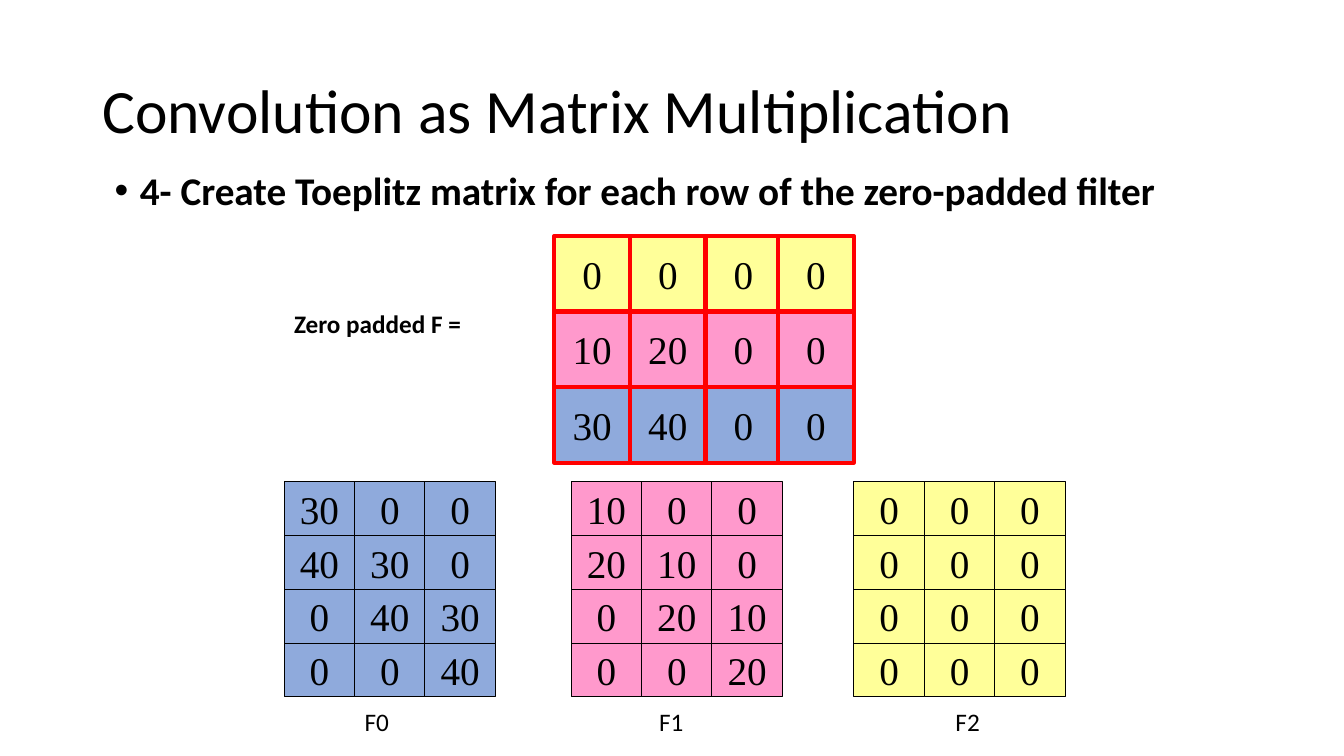
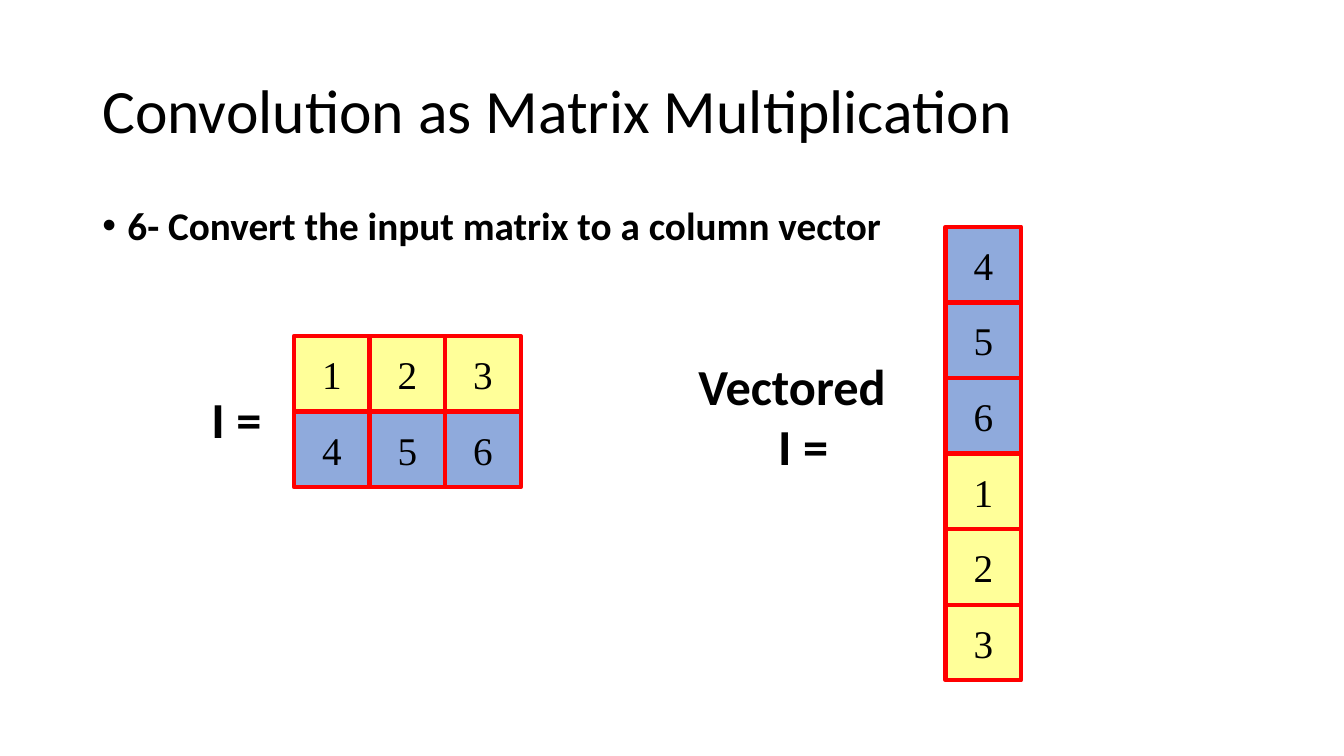
from lxml import etree
from pptx import Presentation
from pptx.dml.color import RGBColor
from pptx.enum import shapes, text
from pptx.oxml.ns import qn
from pptx.util import Pt

BLACK = RGBColor(0x00, 0x00, 0x00)
RED = RGBColor(0xFF, 0x00, 0x00)
YELLOW = RGBColor(0xFF, 0xFF, 0x99)
PINK = RGBColor(0xFF, 0x99, 0xCC)
BLUE = RGBColor(0x8F, 0xAA, 0xDC)

TITLE = "Convolution as Matrix Multiplication"
TITLE_BOX = (66, 28.75, 828, 104.4)
BULLETS = [
    ("4- Create Toeplitz matrix for each row of the zero-padded filter", (74.9, 118.8, 844.6, 444.2)),
    ("6- Convert the input matrix to a column vector", (66, 143.75, 828, 342.6)),
]
SQUARE = (54, 54)
TOEPLITZ_CELL = (50.3, 38.4)


def add_text(slide, box, lines, size, bold=False, wrap=False):
    """Add a left-aligned Calibri text box and return its shape."""
    shape = slide.shapes.add_textbox(*map(Pt, box))
    shape.text_frame.word_wrap = wrap
    shape.text_frame.text = lines
    for paragraph in shape.text_frame.paragraphs:
        style = {"name": "Calibri", "size": Pt(size), "bold": bold}
        for key, value in style.items():
            setattr(paragraph.font, key, value)
        paragraph.font.color.rgb = BLACK
    return shape


def add_matrix(slide, left, top, rows, fills, cell=SQUARE, line=(RED, 3)):
    """Draw a matrix of number cells, with one fill for each row."""
    width, height = cell
    for i, (row, fill) in enumerate(zip(rows, fills)):
        for j, number in enumerate(row):
            box = (left + j * width, top + i * height, width, height)
            shape = slide.shapes.add_shape(shapes.MSO_SHAPE.RECTANGLE, *map(Pt, box))
            shape.shadow.inherit = False
            shape.fill.solid()
            shape.fill.fore_color.rgb = fill
            shape.line.color.rgb = line[0]
            shape.line.width = Pt(line[1])
            shape.text_frame.word_wrap = False
            shape.text_frame.vertical_anchor = text.MSO_ANCHOR.MIDDLE
            paragraph = shape.text_frame.paragraphs[0]
            paragraph.text = str(number)
            paragraph.alignment = text.PP_ALIGN.CENTER
            for key, value in {"name": "Times New Roman", "size": Pt(28)}.items():
                setattr(paragraph.font, key, value)
            paragraph.font.color.rgb = BLACK


presentation = Presentation()
presentation.slide_width, presentation.slide_height = Pt(960), Pt(540)

# Title and bullet of every slide
for bullet, bullet_box in BULLETS:
    slide = presentation.slides.add_slide(presentation.slide_layouts[6])
    title = add_text(slide, TITLE_BOX, TITLE, 44, wrap=True)
    title.text_frame.vertical_anchor = text.MSO_ANCHOR.MIDDLE
    title.text_frame.paragraphs[0].line_spacing = 0.9
    body = add_text(slide, bullet_box, bullet, 28, bold=True, wrap=True)
    paragraph = body.text_frame.paragraphs[0]
    paragraph.line_spacing = 0.9
    paragraph.space_before = Pt(10)
    properties = paragraph._p.get_or_add_pPr()
    properties.set("marL", str(Pt(18)))
    properties.set("indent", str(Pt(-18)))
    font = etree.Element(qn("a:buFont"), typeface="Arial")
    mark = etree.Element(qn("a:buChar"), char="\u2022")
    properties.find(qn("a:spcBef")).addnext(font)
    font.addnext(mark)

toeplitz_slide, vector_slide = presentation.slides

# Zero-padded filter; its last column overlaps the others slightly
padded_filter = [[0, 0, 0, 0], [10, 20, 0, 0], [30, 40, 0, 0]]
row_fills = [YELLOW, PINK, BLUE]
add_text(toeplitz_slide, (203, 216.7, 360, 29), "Zero padded F = ", 18, bold=True, wrap=True)
add_matrix(toeplitz_slide, 396, 168.5, [row[:3] for row in padded_filter], row_fills)
add_matrix(toeplitz_slide, 555.8, 168.5, [row[3:] for row in padded_filter], row_fills)

# One Toeplitz matrix for each filter row, from the bottom row up
places = [(203, 253.4), (408, 463.7), (610, 675.4)]
filter_rows = zip(reversed(padded_filter), reversed(row_fills), places)
for index, (values, fill, (left, label_left)) in enumerate(filter_rows):
    toeplitz = [[values[i - j] if i >= j else 0 for j in range(3)] for i in range(4)]
    add_matrix(toeplitz_slide, left, 344.2, toeplitz, [fill] * 4, TOEPLITZ_CELL, (BLACK, 0.75))
    add_text(toeplitz_slide, (label_left, 501, 32.4, 29), f"F{index}", 18)

# Input matrix and its column vector, bottom row first
input_matrix = [[1, 2, 3], [4, 5, 6]]
input_fills = [YELLOW, BLUE]
column = [[number] for row in reversed(input_matrix) for number in row]
column_fills = [fill for fill in reversed(input_fills) for _ in range(3)]
add_matrix(vector_slide, 210, 240, input_matrix, input_fills)
add_matrix(vector_slide, 675.4, 162, column, column_fills)
add_text(vector_slide, (144, 273.6, 50.4, 51), "I =", 36, bold=True)
vector_label = add_text(vector_slide, (491.8, 249.8, 152, 94.5), "Vectored\nI =", 36, bold=True)
vector_label.text_frame.paragraphs[1]._p.get_or_add_pPr().set("marL", str(Pt(57)))

presentation.save("out.pptx")
